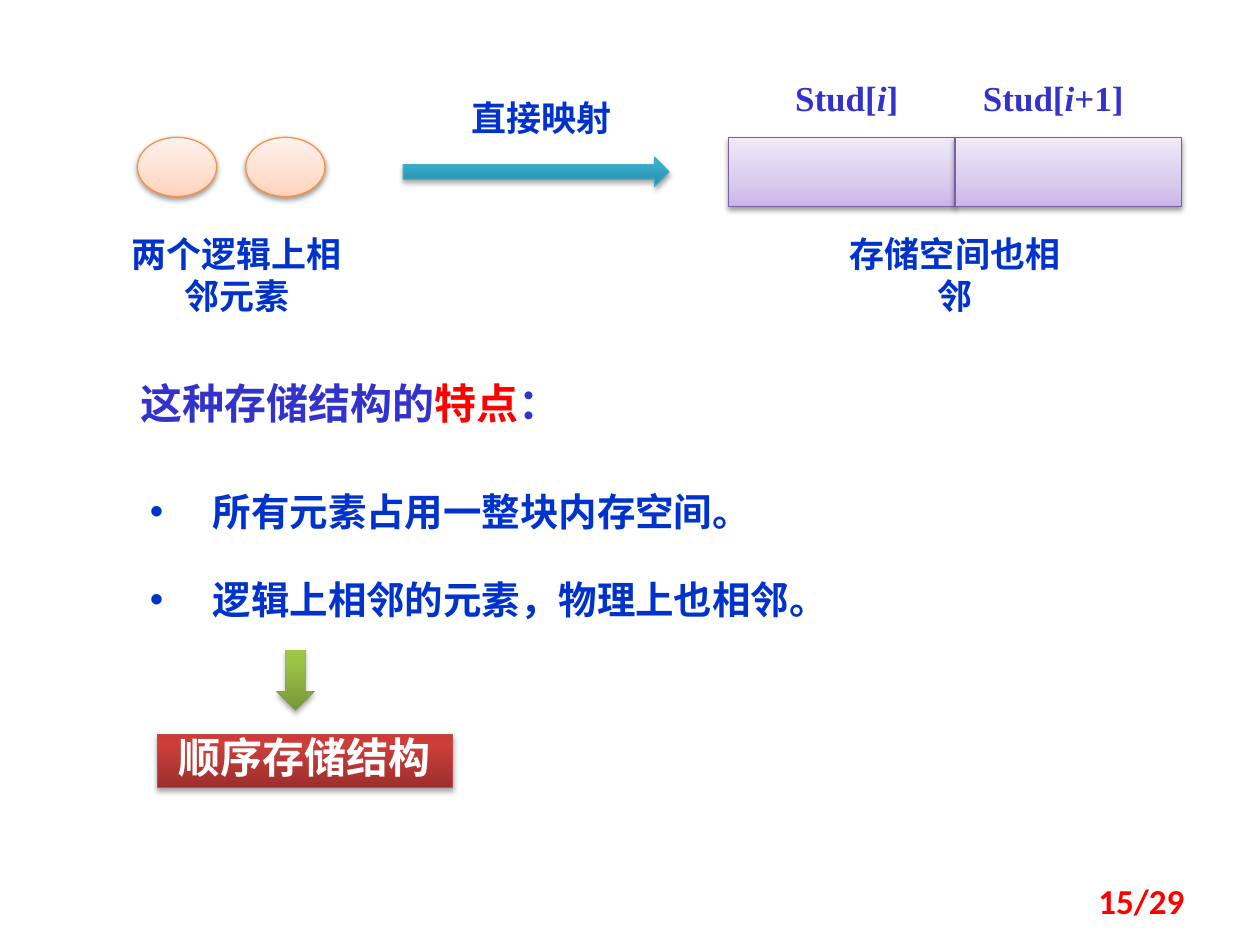
import pptx
import pptx.dml.color
import pptx.enum.shapes
import pptx.enum.text
import pptx.oxml.ns
import pptx.util
from lxml import etree

Inches = pptx.util.Inches
Pt = pptx.util.Pt
qn = pptx.oxml.ns.qn
SHAPES = pptx.enum.shapes.MSO_SHAPE
ALIGN = pptx.enum.text.PP_ALIGN
ANCHOR = pptx.enum.text.MSO_ANCHOR

COLORS = {
    "violet": "3333CC",
    "blue": "0033CC",
    "red": "FF0000",
    "white": "FFFFFF",
    "shadow": "000000",
    "box line": "BF4C48",
    "cell line": "7D60A0",
    "element line": "F69240",
    "arrow line": "46AAC5",
}
# Gradient stops run from the bottom edge to the top edge.
GRADIENTS = {
    "box": [(0, "9C2F2D"), (80, "CB3E3A"), (100, "CE3B37")],
    "down arrow": [(0, "779737"), (80, "9BC348"), (100, "9DC746")],
    "cell": [(0, "C9B5E8"), (35, "D8CBEE"), (100, "F0EAF9")],
    "element": [(0, "FFD2BD"), (35, "FFDED0"), (100, "FFF2ED")],
    "mapping arrow": [(0, "2A88A2"), (80, "37B1D2"), (100, "34B4D6")],
}


def rgb(name):
    return pptx.dml.color.RGBColor.from_string(COLORS[name])


class SlideBuilder:
    latin_font = "Times New Roman"
    chinese_font = "Noto Sans CJK SC"

    def __init__(self, slide):
        self.slide = slide

    def add_block(self, kind, left, top, width, height, gradient, line=None,
                  shadow_opacity=35, shadow_distance=1.8):
        """Add a preset shape with a vertical gradient and a soft shadow below."""
        shape = self.slide.shapes.add_shape(
            kind, Inches(left), Inches(top), Inches(width), Inches(height))
        shape.fill.gradient()
        shape.fill.gradient_angle = 90
        properties = shape._element.spPr
        stops = properties.find(".//" + qn("a:gsLst"))
        for stop in list(stops):
            stops.remove(stop)
        for position, color in GRADIENTS[gradient]:
            stop = etree.SubElement(stops, qn("a:gs"), pos=str(position * 1000))
            etree.SubElement(stop, qn("a:srgbClr"), val=color)
        if line:
            shape.line.color.rgb = rgb(line)
            shape.line.width = Pt(0.75)
        else:
            shape.line.fill.background()
        shape.shadow.inherit = False
        shadow = etree.SubElement(
            properties.find(qn("a:effectLst")), qn("a:outerShdw"),
            blurRad=str(Pt(3.1)), dist=str(Pt(shadow_distance)),
            dir="5400000", rotWithShape="0")
        color = etree.SubElement(shadow, qn("a:srgbClr"), val=COLORS["shadow"])
        etree.SubElement(color, qn("a:alpha"), val=str(shadow_opacity * 1000))
        return shape

    def add_text_box(self, left, top, width, height, paragraphs, **style):
        box = self.slide.shapes.add_textbox(
            Inches(left), Inches(top), Inches(width), Inches(height))
        self.fill_text(box.text_frame, paragraphs, **style)
        return box.text_frame

    def fill_text(self, frame, paragraphs, color="blue", size=20, font=latin_font,
                  align=ALIGN.CENTER, spacing=1.0, hanging=False, bullet=False):
        """Fill a frame; each paragraph is a list of (text, run font settings)."""
        frame.word_wrap = True
        frame.vertical_anchor = ANCHOR.TOP
        if hanging:
            frame.margin_top, frame.margin_bottom = Inches(0.08), 0
        for index, runs in enumerate(paragraphs):
            paragraph = frame.add_paragraph() if index else frame.paragraphs[0]
            paragraph.alignment = align
            paragraph.line_spacing = spacing
            if index:
                paragraph.space_before = Pt(size / 2)
            properties = paragraph._p.get_or_add_pPr()
            if hanging:
                properties.set("marL", str(Inches(0.5)))
                properties.set("indent", str(Inches(-0.5)))
            if bullet:
                etree.SubElement(properties, qn("a:buFont"), typeface="Arial")
                etree.SubElement(properties, qn("a:buChar"), char="•")
            paragraph.font.name = font
            paragraph.font.size = Pt(size)
            paragraph.font.bold = True
            paragraph.font.color.rgb = rgb(color)
            defaults = properties.find(qn("a:defRPr"))
            defaults.find(qn("a:latin")).addnext(
                etree.Element(qn("a:ea"), typeface=self.chinese_font))
            for text, settings in runs:
                run = paragraph.add_run()
                run.text = text
                if "color" in settings:
                    run.font.color.rgb = rgb(settings["color"])
                if "italic" in settings:
                    run.font.italic = settings["italic"]


def main():
    presentation = pptx.Presentation()
    presentation.slide_width = Inches(10)
    presentation.slide_height = Inches(7.5)
    builder = SlideBuilder(
        presentation.slides.add_slide(presentation.slide_layouts[6]))

    # Logical elements mapped to adjacent storage cells
    for left in (1.09, 1.95):
        builder.add_block(SHAPES.OVAL, left, 1.09, 0.63, 0.47, "element",
                          "element line", 38, 1.6)
    builder.add_block(SHAPES.RIGHT_ARROW, 3.2, 1.25, 2.11, 0.23,
                      "mapping arrow", "arrow line")
    builder.add_text_box(3.52, 0.78, 1.56, 0.37, [[("直接映射", {})]], spacing=0.8)
    for cell_left, label_left, ending in ((5.78, 5.94, "]"), (7.58, 7.58, "+1]")):
        builder.add_block(SHAPES.RECTANGLE, cell_left, 1.09, 1.8, 0.55, "cell",
                          "cell line", 38, 1.6)
        label = [("Stud[", {}), ("i", {"italic": True}), (ending, {})]
        builder.add_text_box(label_left, 0.62, 1.56, 0.37, [label],
                             color="violet", spacing=0.8)
    for left, caption in ((0.94, "两个逻辑上相邻元素"), (6.64, "存储空间也相邻")):
        builder.add_text_box(left, 1.8, 1.88, 0.77, [[(caption, {})]])

    # Features of this storage structure
    heading = [("这种存储结构的", {}), ("特点", {"color": "red"}), ("：", {})]
    builder.add_text_box(1.02, 2.99, 4.33, 0.41, [heading], color="violet",
                         size=24, align=ALIGN.LEFT, spacing=0.8, hanging=True)
    features = ["所有元素占用一整块内存空间。", "逻辑上相邻的元素，物理上也相邻。"]
    builder.add_text_box(1.09, 3.61, 6.09, 1.31,
                         [[(feature, {})] for feature in features], size=22,
                         align=ALIGN.LEFT, spacing=1.5, hanging=True, bullet=True)

    # Conclusion
    builder.add_block(SHAPES.DOWN_ARROW, 2.19, 5.16, 0.31, 0.48, "down arrow")
    conclusion = builder.add_block(SHAPES.RECTANGLE, 1.25, 5.83, 2.34, 0.42,
                                   "box", "box line")
    builder.fill_text(conclusion.text_frame, [[("顺序存储结构", {})]],
                      color="white", size=24, font=builder.chinese_font,
                      spacing=0.8)

    page_number = builder.add_text_box(7.17, 6.95, 2.33, 0.4, [[("15/29", {})]],
                                       color="red", font="Calibri",
                                       align=ALIGN.RIGHT)
    page_number.vertical_anchor = ANCHOR.MIDDLE
    presentation.save("out.pptx")


if __name__ == "__main__":
    main()
